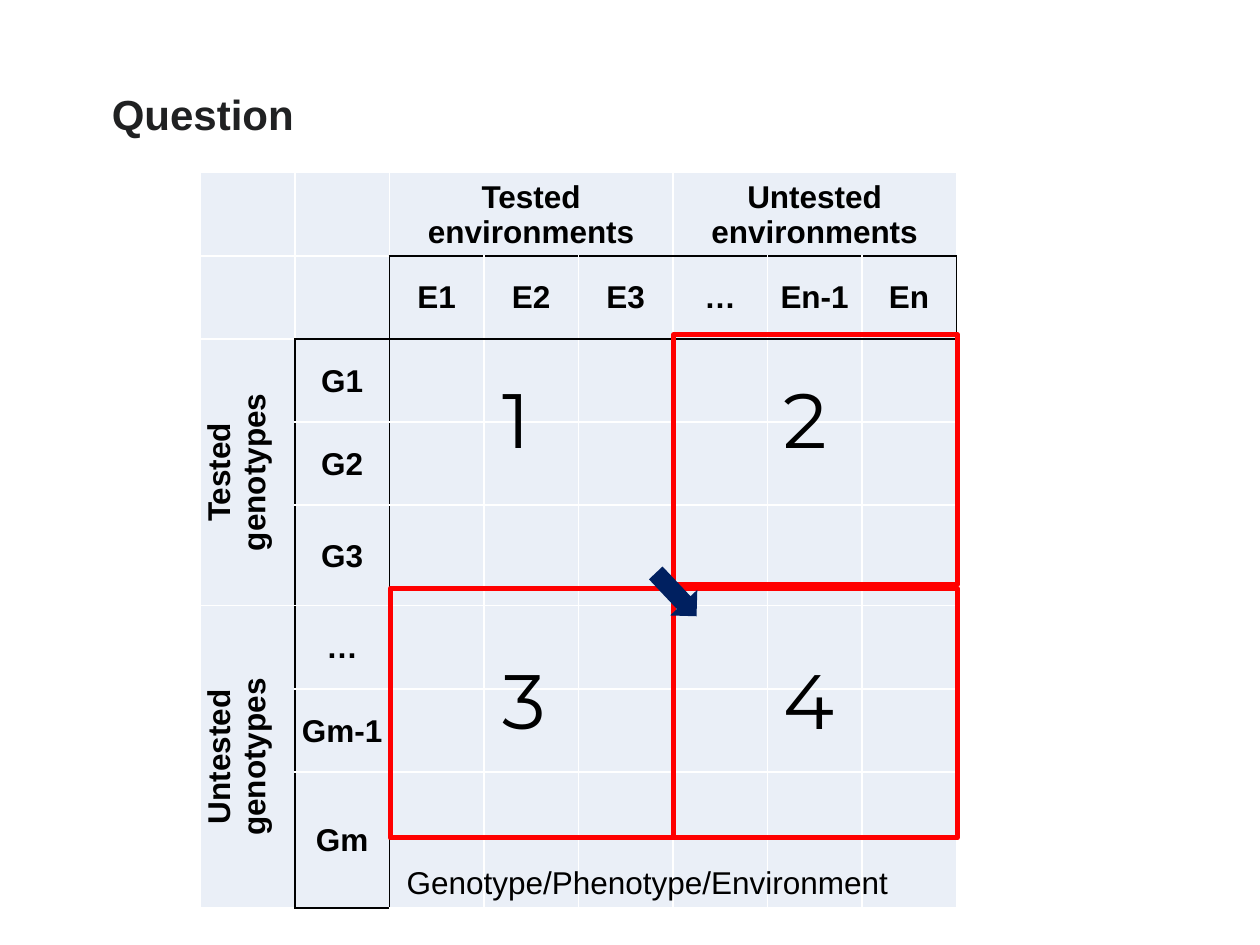
from lxml import etree
from pptx import Presentation
from pptx import util as u
from pptx.dml.color import RGBColor
from pptx.enum import shapes, text
from pptx.oxml import ns

theme = {
    "cell": RGBColor.from_string("EAEFF7"),
    "ink": RGBColor.from_string("000000"),
    "title": RGBColor.from_string("202122"),
    "frame": RGBColor.from_string("FF0000"),
    "arrow": RGBColor.from_string("002060"),
    "grid_line": "FFFFFF",
    "axis_line": "000000",
    "font": "Arial",
    "number_font": "Montserrat",
    "title_size": 24,
    "body_size": 18,
    "number_size": 44,
}

count = 8
left, top = 1.59, 1.37
column, row = 0.75, 0.66


def place(across, down, wide, high):
    return (u.Inches(left + across * column), u.Inches(top + down * row),
            u.Inches(wide * column), u.Inches(high * row))


def write(frame, words, size, font, color, bold=False, align=None):
    frame.text = words
    para = frame.paragraphs[0]
    para.alignment = align
    span = para.runs[0]
    span.font.size = u.Pt(size)
    span.font.name = font
    span.font.bold = bold
    span.font.color.rgb = color


deck = Presentation()
deck.slide_width, deck.slide_height = u.Inches(10), u.Inches(7.5)
page = deck.slides.add_slide(deck.slide_layouts[5])

title = page.shapes.title
title.left, title.top, title.width, title.height = place(-1.07, -1.09, 2.83, 0.76)
title.text_frame.vertical_anchor = text.MSO_ANCHOR.TOP
write(title.text_frame, "Question", theme["title_size"], theme["font"],
      theme["title"], True, text.PP_ALIGN.LEFT)

table = page.shapes.add_table(count, count, *place(0, 0, count, count)).table
table.first_row = table.horz_banding = False
for index in range(count):
    table.columns[index].width = u.Inches(column)
    table.rows[index].height = u.Inches(row)

labels = {
    (0, 2): "Tested environments",
    (0, 5): "Untested environments",
    (2, 0): "Tested genotypes",
    (5, 0): "Untested genotypes",
}
for index, name in enumerate(["E1", "E2", "E3", "…", "En-1", "En"], 2):
    labels[1, index] = name
for index, name in enumerate(["G1", "G2", "G3", "…", "Gm-1", "Gm"], 2):
    labels[index, 1] = name

for start in (2, 5):
    table.cell(0, start).merge(table.cell(0, start + 2))
    table.cell(start, 0).merge(table.cell(start + 2, 0))

upright_axes = {1: range(2, 8), 2: range(1, 8), 8: range(1, 2)}
level_axes = {1: range(2, 8), 2: range(1, 8), 8: range(1, 2)}

for down in range(count):
    for across in range(count):
        cell = table.cell(down, across)
        cell.fill.solid()
        cell.fill.fore_color.rgb = theme["cell"]
        properties = cell._tc.get_or_add_tcPr()
        if (down, across) in labels:
            cell.vertical_anchor = text.MSO_ANCHOR.MIDDLE
            cell.margin_left = cell.margin_right = cell.margin_top = u.Inches(0.01)
            cell.margin_bottom = 0
            write(cell.text_frame, labels[down, across], theme["body_size"],
                  theme["font"], theme["ink"], True, text.PP_ALIGN.CENTER)
            if across == 0:
                properties.set("vert", "vert270")
        edges = {
            "a:lnL": down in upright_axes.get(across, ()),
            "a:lnR": down in upright_axes.get(across + 1, ()),
            "a:lnT": across in level_axes.get(down, ()),
            "a:lnB": across in level_axes.get(down + 1, ()),
        }
        for order, (edge, on_axis) in enumerate(edges.items()):
            line = etree.Element(ns.qn(edge), w=str(u.Pt(1)))
            fill = etree.SubElement(line, ns.qn("a:solidFill"))
            etree.SubElement(fill, ns.qn("a:srgbClr"),
                             val=theme["axis_line" if on_axis else "grid_line"])
            properties.insert(order, line)

caption = page.shapes.add_textbox(*place(2.05, 8.23, 5.36, 0.61))
caption.text_frame.word_wrap = True
write(caption.text_frame, "Genotype/Phenotype/Environment", theme["body_size"],
      theme["font"], theme["ink"], align=text.PP_ALIGN.CENTER)

for across, down in [(5.01, 5), (2.01, 5), (5.01, 1.95)]:
    box = page.shapes.add_shape(shapes.MSO_SHAPE.RECTANGLE, *place(across, down, 3, 3))
    box.shadow.inherit = False
    box.fill.background()
    box.line.color.rgb = theme["frame"]
    box.line.width = u.Pt(3)

arrow = page.shapes.add_shape(shapes.MSO_SHAPE.RIGHT_ARROW, *place(4.72, 4.85, 0.63, 0.45))
arrow.rotation = 46.7
arrow.shadow.inherit = False
arrow.fill.solid()
arrow.fill.fore_color.rgb = theme["arrow"]
arrow.line.fill.background()

for index in range(4):
    down, across = divmod(index, 2)
    number = page.shapes.add_textbox(
        *place(3.07 + across * 2.97, 2.32 + down * 3.38, 0.96, 1.27))
    number.text_frame.word_wrap = True
    write(number.text_frame, str(index + 1), theme["number_size"],
          theme["number_font"], theme["ink"])

deck.save("out.pptx")
